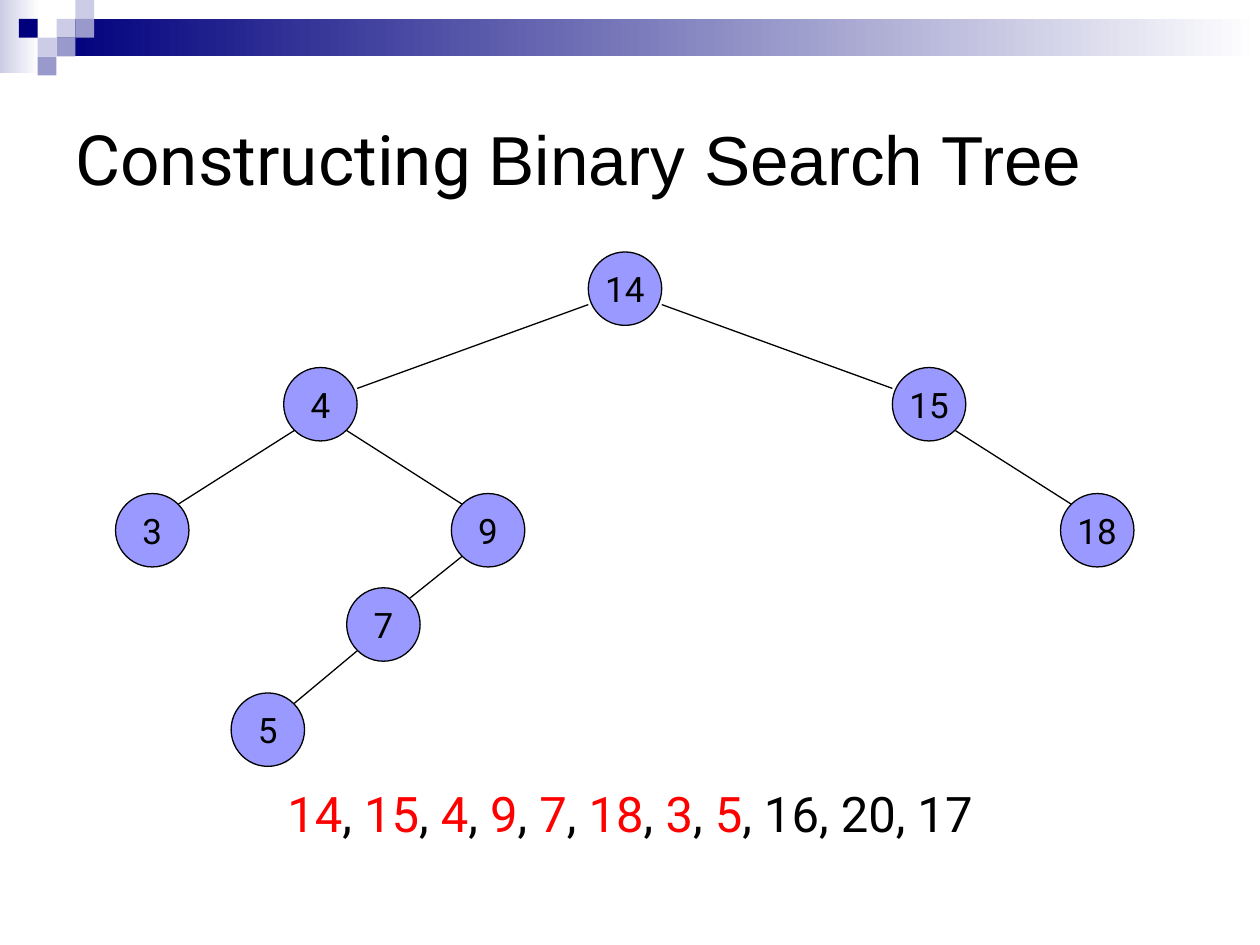
from pptx import Presentation
from pptx.dml.color import RGBColor
from pptx.enum.shapes import MSO_CONNECTOR as CONN, MSO_SHAPE as SHAPE
from pptx.enum.text import MSO_ANCHOR as ANCHOR, PP_ALIGN as ALIGN
from pptx.oxml.ns import qn
from pptx.util import Cm, Pt

COLORS = {"navy": "00007D", "mid": "9999CC", "pale": "CCCCE6", "white": "FFFFFF",
          "node": "9999FF", "black": "000000", "red": "FF0000"}

TITLE = [("Constructing ", "Roboto", "black"), ("Binary Search Tree", "Arial", "black")]
INSERTED = [14, 15, 4, 9, 7, 18, 3, 5]
PENDING = [16, 20, 17]

# Gradient bars: left, top, width, height in cm, start colour
BARS = [(0, 0, 0.79, 1.47, "pale"), (1.14, 0.38, 24.26, 0.76, "navy")]
# Squares: column and row on the corner grid, colour
CELL = 0.38
SQUARES = [(3, 1, "pale"), (4, 0, "pale"), (4, 1, "mid"), (2, 2, "pale"),
           (1, 1, "navy"), (3, 2, "mid"), (2, 3, "mid")]

# Node centres in cm
NODES = {14: (12.6, 5.82), 15: (18.73, 8.15), 4: (6.46, 8.15), 9: (9.84, 10.69),
         7: (7.73, 12.59), 18: (22.12, 10.69), 3: (3.07, 10.69), 5: (5.4, 14.71)}
EDGES = [(14, 15), (14, 4), (4, 9), (9, 7), (15, 18), (4, 3), (7, 5)]
DIAMETER = 1.48
ROOT = 14
ROOT_REACH = (0.74, 0.32)  # edge end, measured from a node's centre
REACH = (0.53, 0.53)


def rgb(name):
    return RGBColor.from_string(COLORS[name])


def add_shape(s, kind, left, top, width, height):
    sp = s.shapes.add_shape(kind, Cm(left), Cm(top), Cm(width), Cm(height))
    sp.shadow.inherit = False
    sp.line.fill.background()
    return sp


def set_solid(sp, color):
    sp.fill.solid()
    sp.fill.fore_color.rgb = rgb(color)


def write(tf, runs, size, align, **frame):
    """Fill the first paragraph with (text, font, colour) runs."""
    for name, value in frame.items():
        setattr(tf, name, value)
    p = tf.paragraphs[0]
    p.alignment = align
    for text, font, color in runs:
        r = p.add_run()
        r.text = text
        for name, value in {"name": font, "size": Pt(size)}.items():
            setattr(r.font, name, value)
        r.font.color.rgb = rgb(color)


def add_text(s, left, top, width, height, runs, size, align, anchor):
    box = s.shapes.add_textbox(Cm(left), Cm(top), Cm(width), Cm(height))
    write(box.text_frame, runs, size, align, word_wrap=True, vertical_anchor=anchor)


def add_decoration(s):
    for left, top, width, height, color in BARS:
        sp = add_shape(s, SHAPE.RECTANGLE, left, top, width, height)
        sp.fill.gradient()
        sp.fill.gradient_angle = 0
        for stop, position, name in zip(sp.fill.gradient_stops, (0, 1), (color, "white")):
            stop.position = position
            stop.color.rgb = rgb(name)
    for col, row, color in SQUARES:
        set_solid(add_shape(s, SHAPE.RECTANGLE, col * CELL, row * CELL, CELL, CELL), color)


def add_edge(s, parent, child):
    (x1, y1), (x2, y2) = NODES[parent], NODES[child]
    dx, dy = ROOT_REACH if parent == ROOT else REACH
    if x2 < x1:
        dx = -dx
    line = s.shapes.add_connector(CONN.STRAIGHT, Cm(x1 + dx), Cm(y1 + dy),
                                  Cm(x2 - dx), Cm(y2 - dy))
    line.line.color.rgb = rgb("black")
    line.line.width = Pt(0.75)
    props = line._element.spPr
    props.append(props.makeelement(qn("a:effectLst"), {}))


def add_node(s, key, x, y):
    sp = add_shape(s, SHAPE.OVAL, x - DIAMETER / 2, y - DIAMETER / 2, DIAMETER, DIAMETER)
    set_solid(sp, "node")
    sp.line.color.rgb = rgb("black")
    sp.line.width = Pt(0.75)
    write(sp.text_frame, [(str(key), "Roboto", "black")], 20, ALIGN.CENTER,
          word_wrap=False, vertical_anchor=ANCHOR.MIDDLE,
          margin_left=0, margin_right=0, margin_top=0, margin_bottom=0)


def sequence_runs():
    """Inserted keys in red, commas and pending keys in black."""
    runs = []
    for key in INSERTED:
        runs += [(str(key), "Roboto", "red"), (", ", "Roboto", "black")]
    return runs + [(", ".join(map(str, PENDING)), "Roboto", "black")]


def main():
    prs = Presentation()
    prs.slide_width, prs.slide_height = Cm(25.4), Cm(19.05)
    s = prs.slides.add_slide(prs.slide_layouts[6])
    add_decoration(s)
    add_text(s, 1.27, 1.27, 22.86, 3.81, TITLE, 39.6, ALIGN.LEFT, ANCHOR.MIDDLE)
    add_text(s, 1.27, 15.67, 22.86, 1.9, sequence_runs(), 28, ALIGN.CENTER, ANCHOR.TOP)
    for parent, child in EDGES:
        add_edge(s, parent, child)
    for key, (x, y) in NODES.items():
        add_node(s, key, x, y)
    prs.save("out.pptx")


if __name__ == "__main__":
    main()
